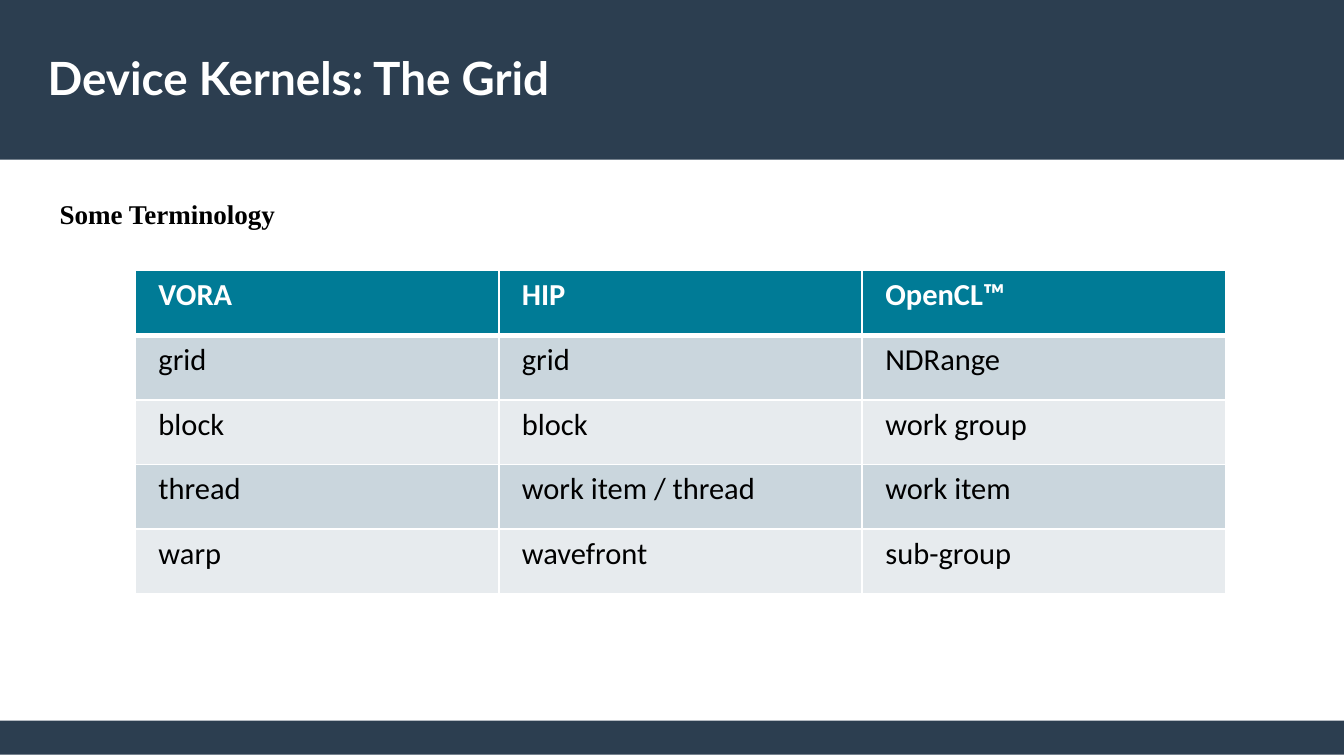
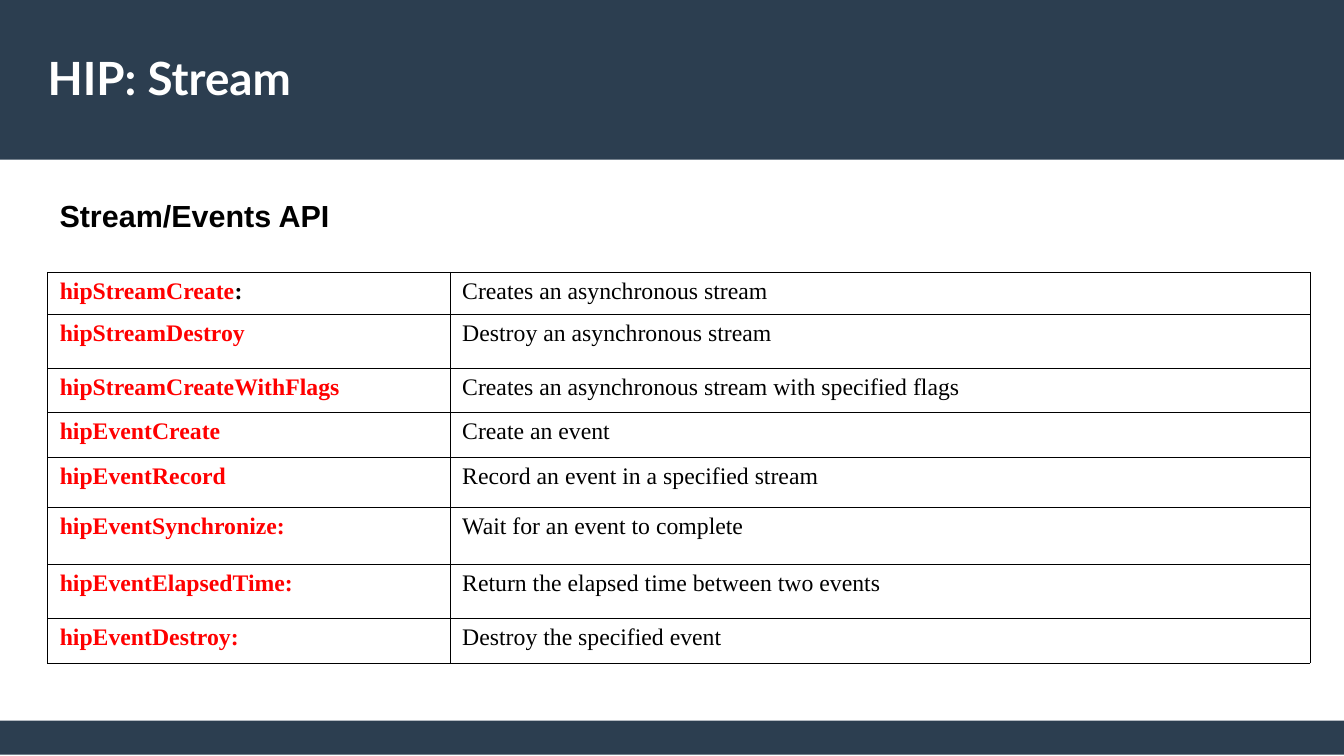
from dataclasses import dataclass

from lxml import etree
from pptx import Presentation
from pptx.dml import color
from pptx.enum import shapes, text
from pptx.oxml import ns
from pptx.util import Inches, Pt


@dataclass(frozen=True)
class Theme:
    navy: str = "2C3E50"
    teal: str = "007B96"
    stripe_dark: str = "CAD6DD"
    stripe_light: str = "E7EBEE"
    white: str = "FFFFFF"
    black: str = "000000"
    red: str = "FF0000"
    title_font: str = "Lato"
    grid_font: str = "Calibri"
    serif: str = "Times New Roman"
    sans: str = "Arial"
    title_size: float = 27
    large: float = 18
    medium: float = 16
    small: float = 14
    thin: float = 0.96
    thick: float = 3
    hairline: float = 0.06


THEME = Theme()
WIDTH, HEIGHT = 11.02, 6.2
MARGIN = 0.39

TERMS = [
    ("VORA", "HIP", "OpenCL™"),
    ("grid", "grid", "NDRange"),
    ("block", "block", "work group"),
    ("thread", "work item / thread", "work item"),
    ("warp", "wavefront", "sub-group"),
]

# Function name, trailing black mark, description, row height
API_CALLS = [
    ("hipStreamCreate", ":", "Creates an asynchronous stream", 0.35),
    ("hipStreamDestroy", "", "Destroy an asynchronous stream", 0.44),
    ("hipStreamCreateWithFlags", "",
     "Creates an asynchronous stream with specified flags", 0.36),
    ("hipEventCreate", "", "Create an event", 0.37),
    ("hipEventRecord", "", "Record an event in a specified stream", 0.41),
    ("hipEventSynchronize:", "", "Wait for an event to complete", 0.47),
    ("hipEventElapsedTime:", "", "Return the elapsed time between two events", 0.44),
    ("hipEventDestroy:", "", "Destroy the specified event", 0.37),
]


def rgb(value):
    return color.RGBColor.from_string(value)


def add_span(para, words, font, size, ink, bold=False):
    span = para.add_run()
    span.text = words
    span.font.name = font
    span.font.size = Pt(size)
    span.font.bold = bold
    span.font.color.rgb = rgb(ink)


def add_band(page, top, height):
    band = page.shapes.add_shape(
        shapes.MSO_SHAPE.RECTANGLE, 0, Inches(top), Inches(WIDTH), Inches(height))
    band.shadow.inherit = False
    band.fill.solid()
    band.fill.fore_color.rgb = rgb(THEME.navy)
    band.line.fill.background()


def add_text(page, place, words, font, size, ink):
    """Add a bold line of text in a box at left, top, width, height."""
    box = page.shapes.add_textbox(*map(Inches, place))
    box.text_frame.word_wrap = True
    add_span(box.text_frame.paragraphs[0], words, font, size, ink, bold=True)
    return box


def add_page(deck, title):
    """Add a slide with the shared bands and title."""
    page = deck.slides.add_slide(deck.slide_layouts[6])
    add_band(page, 5.91, 0.28)
    add_band(page, 0, 1.31)
    box = add_text(page, (MARGIN, 0.25, 10.22, 0.77), title,
                   THEME.title_font, THEME.title_size, THEME.white)
    frame = box.text_frame
    frame.margin_left = frame.margin_top = frame.margin_right = frame.margin_bottom = 0
    frame.vertical_anchor = text.MSO_ANCHOR.MIDDLE
    return page


def add_subtitle(page, words, font, size):
    add_text(page, (MARGIN, 1.57, 3.74, 0.37), words, font, size, THEME.black)


def add_grid(page, left, top, columns, rows, header=False):
    frame = page.shapes.add_table(
        len(rows), len(columns), Inches(left), Inches(top),
        Inches(sum(columns)), Inches(sum(rows)))
    table = frame.table
    table.first_row = header
    table.horz_banding = False
    for column, width in zip(table.columns, columns):
        column.width = Inches(width)
    for row, height in zip(table.rows, rows):
        row.height = Inches(height)
    return table


def style_cell(cell, fill, ink, width, top=None, bottom=None):
    """Fill a cell and draw its borders; top and bottom may differ in width."""
    cell.fill.solid()
    cell.fill.fore_color.rgb = rgb(fill)
    properties = cell._tc.get_or_add_tcPr()
    edges = {"L": width, "R": width, "T": top or width, "B": bottom or width}
    for position, (side, points) in enumerate(edges.items()):
        line = etree.Element(ns.qn(f"a:ln{side}"), w=str(int(Pt(points))))
        paint = etree.SubElement(line, ns.qn("a:solidFill"))
        etree.SubElement(paint, ns.qn("a:srgbClr"), val=ink)
        properties.insert(position, line)


def add_terms_table(page):
    table = add_grid(page, 1.11, 2.22, [2.98] * 3, [0.53] * len(TERMS), header=True)
    stripes = (THEME.stripe_light, THEME.stripe_dark)
    for row, terms in enumerate(TERMS):
        header = row == 0
        fill = THEME.teal if header else stripes[row % 2]
        ink = THEME.white if header else THEME.black
        for column, term in enumerate(terms):
            cell = table.cell(row, column)
            style_cell(cell, fill, THEME.white, THEME.thin,
                       top=THEME.thick if row == 1 else None,
                       bottom=THEME.thick if header else None)
            cell.margin_left = Inches(0.19)
            add_span(cell.text_frame.paragraphs[0], term,
                     THEME.grid_font, THEME.large, ink, bold=header)


def add_api_table(page):
    heights = [height for *_, height in API_CALLS]
    table = add_grid(page, MARGIN, 2.23, [3.3, 7.05], heights)
    for row, (name, mark, description, _) in enumerate(API_CALLS):
        name_cell, text_cell = table.cell(row, 0), table.cell(row, 1)
        for cell in (name_cell, text_cell):
            style_cell(cell, THEME.white, THEME.black, THEME.hairline)
        para = name_cell.text_frame.paragraphs[0]
        add_span(para, name, THEME.serif, THEME.small, THEME.red, bold=True)
        if mark:
            add_span(para, mark, THEME.serif, THEME.small, THEME.black, bold=True)
        add_span(text_cell.text_frame.paragraphs[0], description,
                 THEME.serif, THEME.small, THEME.black)


def main():
    deck = Presentation()
    deck.slide_width, deck.slide_height = Inches(WIDTH), Inches(HEIGHT)

    page = add_page(deck, "Device Kernels: The Grid")
    add_terms_table(page)
    add_subtitle(page, "Some Terminology", THEME.serif, THEME.medium)

    page = add_page(deck, "HIP: Stream")
    add_subtitle(page, "Stream/Events API", THEME.sans, THEME.large)
    add_api_table(page)

    deck.save("out.pptx")


if __name__ == "__main__":
    main()
